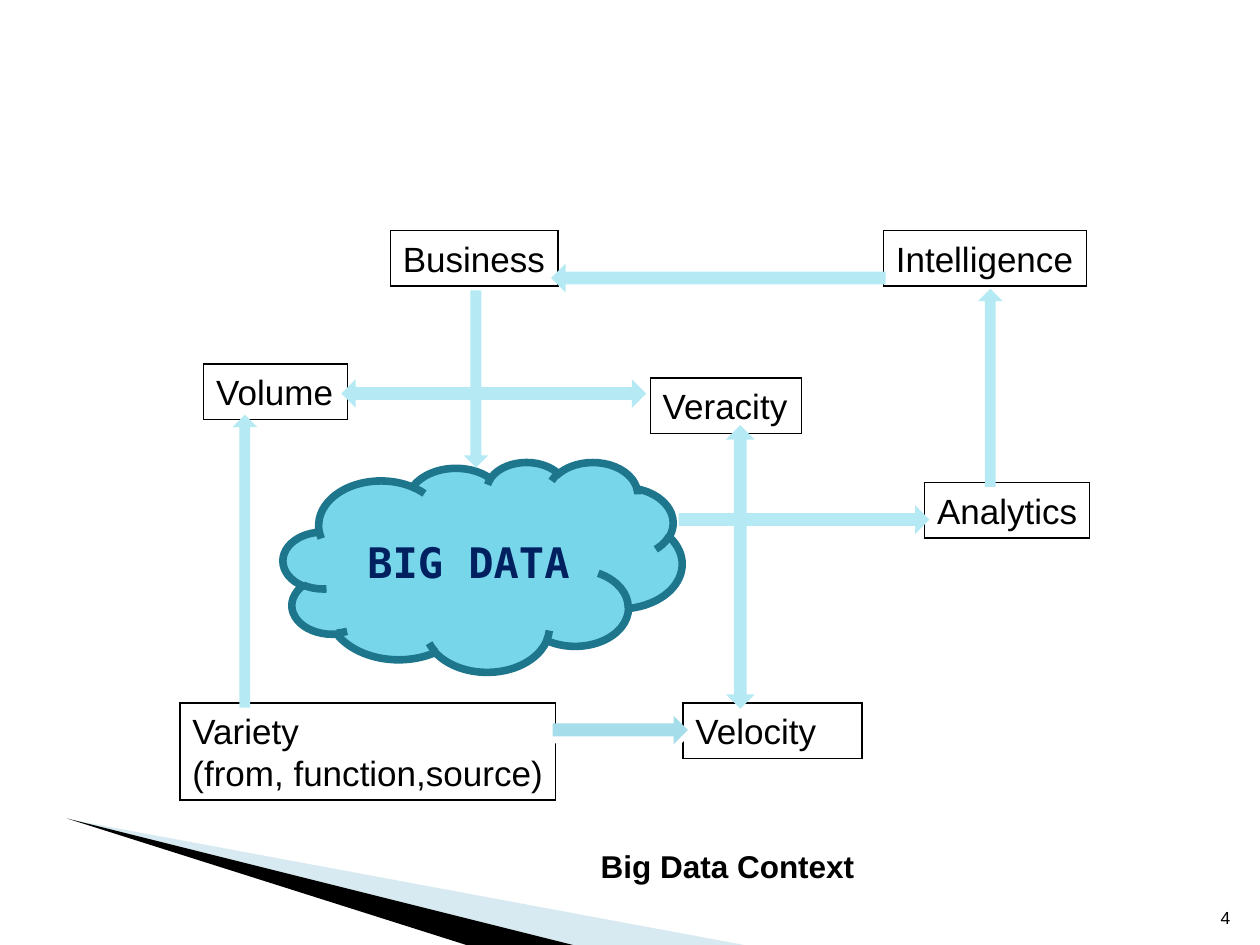
from lxml import etree
from pptx import Presentation
from pptx.dml.color import RGBColor
from pptx.enum.shapes import MSO_SHAPE
from pptx.enum.text import MSO_ANCHOR, MSO_AUTO_SIZE, PP_ALIGN
from pptx.oxml.ns import qn
from pptx.util import Cm, Pt

RECTANGLE, CLOUD = MSO_SHAPE.RECTANGLE, MSO_SHAPE.CLOUD
LEFT_ARROW, RIGHT_ARROW = MSO_SHAPE.LEFT_ARROW, MSO_SHAPE.RIGHT_ARROW
UP_ARROW, DOWN_ARROW = MSO_SHAPE.UP_ARROW, MSO_SHAPE.DOWN_ARROW
UP_DOWN_ARROW = MSO_SHAPE.UP_DOWN_ARROW
LEFT_RIGHT_ARROW = MSO_SHAPE.LEFT_RIGHT_ARROW
TOP, MIDDLE, BOTTOM = MSO_ANCHOR.TOP, MSO_ANCHOR.MIDDLE, MSO_ANCHOR.BOTTOM
LEFT, CENTER, RIGHT = PP_ALIGN.LEFT, PP_ALIGN.CENTER, PP_ALIGN.RIGHT
NO_AUTOSIZE = MSO_AUTO_SIZE.NONE

BLACK = RGBColor(0x00, 0x00, 0x00)
NAVY = RGBColor(0x00, 0x20, 0x60)
PALE_BLUE = RGBColor(0x9F, 0xCB, 0xDC)
CLOUD_FILL = RGBColor(0x78, 0xD6, 0xEA)
CLOUD_LINE = RGBColor(0x1E, 0x76, 0x8C)
ARROW_FILL = RGBColor(0x2D, 0xA2, 0xBF)
SKY_BLUE = RGBColor(0x66, 0xCC, 0xFF)
ARROW_LINE = RGBColor(0xB5, 0xE9, 0xF4)
VARIETY_LINE = RGBColor(0xA6, 0xDD, 0xEA)

THICK = Pt(4.34)
BOX_HEIGHT = 1.12
WIDE, NARROW = 0.21, 0.13


def write_text(shape, text, size, color=BLACK, font="Arial", bold=False,
               align=LEFT, anchor=TOP):
    frame = shape.text_frame
    frame.text = text
    frame.word_wrap = True
    frame.auto_size = NO_AUTOSIZE
    frame.vertical_anchor = anchor
    frame.margin_left = frame.margin_right = Cm(0.25)
    frame.margin_top = frame.margin_bottom = Cm(0.13)
    for paragraph in frame.paragraphs:
        paragraph.alignment = align
        for run in paragraph.runs:
            run.font.name = font
            run.font.size = Pt(size)
            run.font.bold = bold
            run.font.color.rgb = color


def add_outlined(kind, position, fill, line, width):
    shape = slide.shapes.add_shape(kind, *[Cm(value) for value in position])
    shape.shadow.inherit = False
    if fill is None:
        shape.fill.background()
    else:
        shape.fill.solid()
        shape.fill.fore_color.rgb = fill
    shape.line.color.rgb = line
    shape.line.width = width
    etree.SubElement(shape.line._get_or_add_ln(), qn("a:miter"), lim="800000")
    return shape


presentation = Presentation()
presentation.slide_width = Cm(25.4)
presentation.slide_height = Cm(19.05)
slide = presentation.slides.add_slide(presentation.slide_layouts[5])

title = slide.shapes.title
title.left, title.top, title.width, title.height = Cm(11.86), Cm(16.94), Cm(7.2), Cm(1.02)
write_text(title, "Big Data Context", 18, bold=True)

wedges = [
    (PALE_BLUE, [(1.4, 16.52), (15, 19.05), (11.55, 19.05)]),
    (BLACK, [(1.35, 16.5), (11.55, 19.05), (9.4, 19.05)]),
]
for color, points in wedges:
    corners = [(round(x * 100), round(y * 100)) for x, y in points]
    builder = slide.shapes.build_freeform(*corners[0], scale=Cm(1) / 100)
    builder.add_line_segments(corners[1:], close=True)
    wedge = builder.convert_to_shape()
    wedge.shadow.inherit = False
    wedge.fill.solid()
    wedge.fill.fore_color.rgb = color
    wedge.line.fill.background()
    if color == PALE_BLUE:
        fill_color = wedge._element.spPr.find(qn("a:solidFill"))[0]
        etree.SubElement(fill_color, qn("a:alpha"), val="40000")

number = slide.shapes.add_textbox(Cm(24.03), Cm(17.81), Cm(1.02), Cm(1.02))
write_text(number, "4", 10, align=RIGHT, anchor=BOTTOM)

boxes = [
    ("Volume", 4.11, 7.34, 2.9, BOX_HEIGHT),
    ("Velocity", 13.77, 14.17, 3.61, BOX_HEIGHT),
    ("Variety\n(from, function,source)", 3.63, 14.17, 7.57, 1.96),
    ("Veracity", 13.11, 7.62, 3.05, BOX_HEIGHT),
    ("Analytics", 18.64, 9.73, 3.33, BOX_HEIGHT),
    ("Business", 7.87, 4.65, 3.38, BOX_HEIGHT),
    ("Intelligence", 17.81, 4.65, 4.09, BOX_HEIGHT),
]
for label, *position in boxes:
    box = add_outlined(RECTANGLE, position, None, BLACK, Pt(0.75))
    write_text(box, label, 20)
    box.text_frame.margin_right = 0

cloud = add_outlined(CLOUD, (5.71, 9.31, 8.04, 4.23), CLOUD_FILL, CLOUD_LINE, THICK)
write_text(cloud, "BIG DATA", 24, NAVY, "DejaVu Sans Mono", True, CENTER, MIDDLE)

variety_arrow = add_outlined(RIGHT_ARROW, (11.22, 14.61, 2.54, WIDE), None, VARIETY_LINE, THICK)
effects = variety_arrow._element.spPr.find(qn("a:effectLst"))
shadow = etree.SubElement(effects, qn("a:outerShdw"), dist=str(Pt(4)), dir="5400000")
etree.SubElement(shadow, qn("a:srgbClr"), val="FFFFFF")

arrows = [
    (UP_DOWN_ARROW, SKY_BLUE, 14.82, 8.68, WIDE, 5.5),
    (RIGHT_ARROW, ARROW_FILL, 13.76, 10.37, 4.87, WIDE),
    (UP_ARROW, ARROW_FILL, 19.9, 5.93, NARROW, 3.81),
    (UP_ARROW, ARROW_FILL, 4.87, 8.47, NARROW, 5.72),
    (LEFT_RIGHT_ARROW, ARROW_FILL, 6.99, 7.83, 5.93, WIDE),
    (DOWN_ARROW, ARROW_FILL, 9.53, 5.93, NARROW, 3.39),
    (LEFT_ARROW, ARROW_FILL, 11.22, 5.5, 6.56, WIDE),
]
for kind, fill, *position in arrows:
    add_outlined(kind, position, fill, ARROW_LINE, THICK)

presentation.save("out.pptx")
